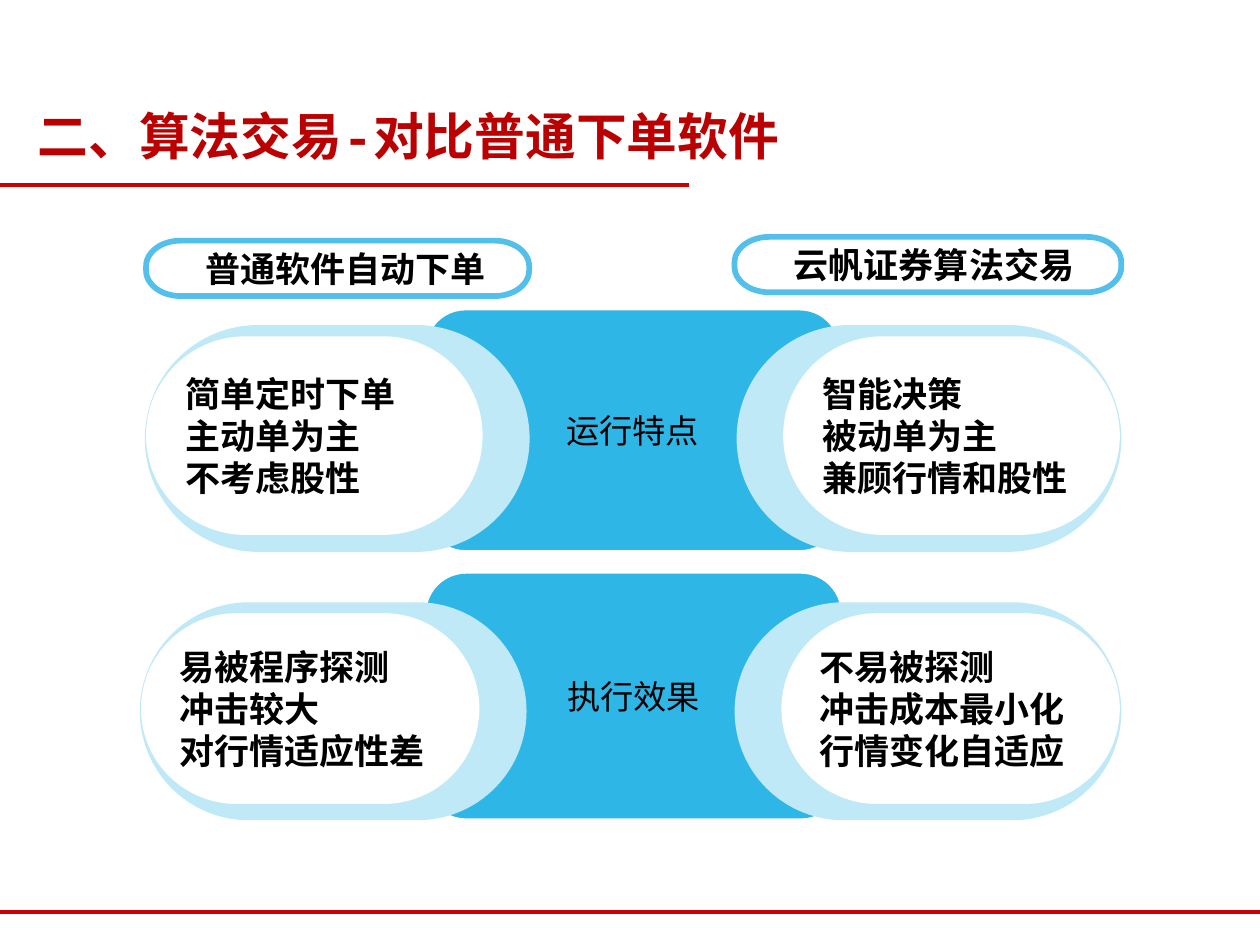
from dataclasses import dataclass
from math import cos, pi, sin

from lxml.etree import SubElement
from pptx import Presentation
from pptx.dml.color import RGBColor
from pptx.enum.shapes import MSO_CONNECTOR, MSO_SHAPE
from pptx.enum.text import MSO_ANCHOR, PP_ALIGN
from pptx.oxml.ns import qn
from pptx.util import Inches, Pt

SANS = "Noto Sans CJK SC"
RED, TITLE_RED, BLUE, RIM, PALE, WHITE, BLACK = (
    "CC0000", "BA0000", "2EB6E6", "53C0EB", "C0E9F8", "FFFFFF", "000000")


@dataclass
class Box:
    left: float
    top: float
    width: float
    height: float

    def share(self, left, top, width, height):
        """Return a box inside this one, given in percent of its size."""
        return Box(self.left + self.width * left / 100,
                   self.top + self.height * top / 100,
                   self.width * width / 100, self.height * height / 100)

    def emu(self):
        return [Inches(v) for v in (self.left, self.top, self.width, self.height)]


PAGE = Box(0, 0, 10, 7.5)


def color(hex_text):
    return RGBColor.from_string(hex_text)


def paint(shape, fill, line=None, weight=0):
    shape.shadow.inherit = False
    shape.fill.solid()
    shape.fill.fore_color.rgb = color(fill)
    if line:
        shape.line.color.rgb = color(line)
        shape.line.width = Pt(weight)
    else:
        shape.line.fill.background()


def add_span(para, text, size, font=SANS, ink=BLACK, bold=False):
    span = para.add_run()
    span.text = text
    span.font.size, span.font.bold, span.font.name = Pt(size), bold, font
    span.font.color.rgb = color(ink)
    SubElement(span.font._element, qn("a:ea")).set("typeface", SANS)


def write(shape, lines, align=PP_ALIGN.LEFT, insets=(0.1, 0.05, 0.1, 0.05),
          spacing=None, **style):
    frame = shape.text_frame
    frame.word_wrap = True
    frame.vertical_anchor = MSO_ANCHOR.MIDDLE
    (frame.margin_left, frame.margin_top,
     frame.margin_right, frame.margin_bottom) = map(Inches, insets)
    for number, line in enumerate(lines):
        para = frame.add_paragraph() if number else frame.paragraphs[0]
        para.alignment = align
        para.line_spacing = spacing
        add_span(para, line, **style)


def add_rule(page, width, top):
    box = PAGE.share(0, top, width, 0)
    rule = page.shapes.add_connector(
        MSO_CONNECTOR.STRAIGHT, Inches(box.width), Inches(box.top), 0, Inches(box.top))
    rule.line.color.rgb = color(RED)
    rule.line.width = Pt(2.25)
    SubElement(rule._element.spPr, qn("a:effectLst"))


def add_round(page, box, corner, fill, **line):
    shape = page.shapes.add_shape(MSO_SHAPE.ROUNDED_RECTANGLE, *box.emu())
    shape.adjustments[0] = corner
    paint(shape, fill, **line)
    return shape


def add_title(page, box):
    frame = page.shapes.add_textbox(*box.emu()).text_frame
    frame.word_wrap = True
    para = frame.paragraphs[0]
    para.line_spacing = 0.9
    add_span(para, "二、算法交易-", 29, "Courier New", TITLE_RED, True)
    add_span(para, "对比普通下单软件", 29, SANS, TITLE_RED, True)


def add_header(page, box, text, steps=12):
    """Outline a box with elliptical corners and label it."""
    across, down = box.width * 0.09, box.height * 0.46
    corners = [(box.left + box.width - across, box.top + box.height - down),
               (box.left + across, box.top + box.height - down),
               (box.left + across, box.top + down),
               (box.left + box.width - across, box.top + down)]
    points = []
    for quarter, (x, y) in enumerate(corners):
        for step in range(steps + 1):
            angle = (quarter + step / steps) * pi / 2
            points.append((Inches(x + across * cos(angle)),
                           Inches(y + down * sin(angle))))
    builder = page.shapes.build_freeform(*points[0])
    builder.add_line_segments(points[1:], close=True)
    shape = builder.convert_to_shape()
    paint(shape, WHITE, RIM, 3.25)
    write(shape, [text], insets=(0.47, 0.05, 0.04, 0.05), size=20, bold=True)


def add_card(page, box, inner_left, lines):
    add_round(page, box, 0.5, PALE)
    inner = add_round(page, box.share(inner_left, 5, 87.5, 87.5), 0.5, WHITE)
    write(inner, lines, insets=(0.08, 0, 0.08, 0), spacing=Pt(24),
          size=20, font="Arial", bold=True)


def add_comparison(page, box, topic, left_lines, right_lines, hub_left, card_top):
    hub = add_round(page, box.share(hub_left, 0, 42.6, 100), 0.167, BLUE,
                    line=WHITE, weight=2)
    write(hub, [topic], PP_ALIGN.CENTER, size=19)
    width, height = 39.4, 100 - card_top
    add_card(page, box.share(0, card_top, width, height), 0.3, left_lines)
    add_card(page, box.share(100 - width, card_top, width, height), 12.1, right_lines)


def main():
    deck = Presentation()
    deck.slide_width, deck.slide_height = Inches(PAGE.width), Inches(PAGE.height)
    page = deck.slides.add_slide(deck.slide_layouts[6])
    add_rule(page, 100, 96.53)
    add_rule(page, 54.7, 19.6)
    add_comparison(page, PAGE.share(11.5, 32.67, 77.5, 25.73), "运行特点",
                   ["简单定时下单", "主动单为主", "不考虑股性"],
                   ["智能决策", "被动单为主", "兼顾行情和股性"], 28.65, 6.7)
    add_comparison(page, PAGE.share(11.1, 60.53, 77.9, 26.27), "执行效果",
                   ["易被程序探测", "冲击较大", "对行情适应性差"],
                   ["不易被探测", "冲击成本最小化", "行情变化自适应"], 29, 12.2)
    add_title(page, PAGE.share(2, 11.2, 90.2, 7.33))
    add_header(page, PAGE.share(11.6, 25.47, 30.4, 5.87), "普通软件自动下单")
    add_header(page, PAGE.share(58.3, 25.07, 30.7, 5.87), "云帆证券算法交易")
    deck.save("out.pptx")


if __name__ == "__main__":
    main()
